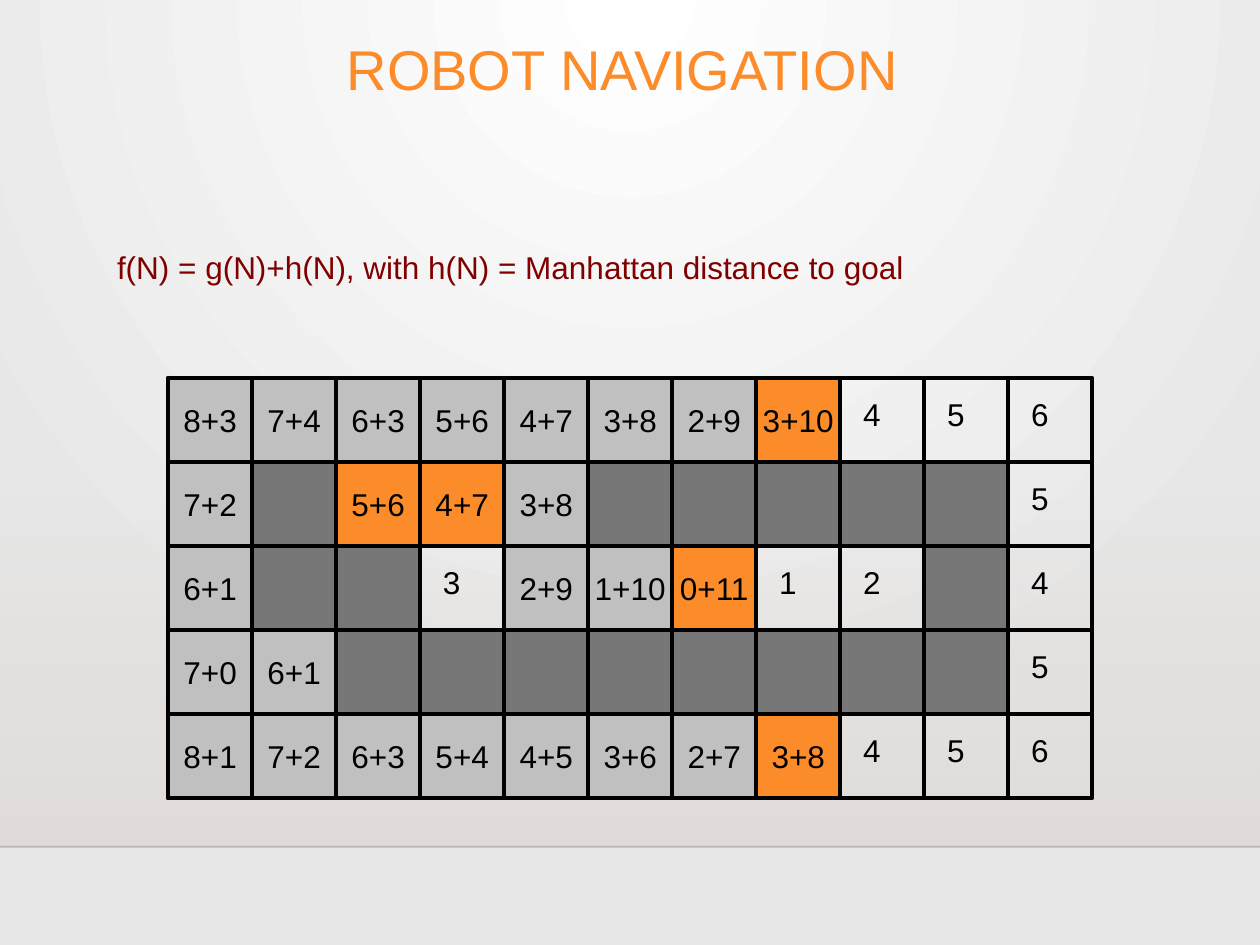
from dataclasses import dataclass

from lxml.etree import SubElement
from pptx import Presentation
from pptx.dml.color import RGBColor
from pptx.enum.shapes import MSO_CONNECTOR, MSO_SHAPE
from pptx.enum.text import MSO_ANCHOR, MSO_AUTO_SIZE, PP_ALIGN
from pptx.oxml.ns import qn
from pptx.util import Cm, Pt


@dataclass(frozen=True)
class Theme:
    font: str = "Arial"
    head: int = 32
    body: int = 18
    edge: float = 2.25
    ink: str = "000000"
    rule: str = "000001"
    note: str = "800000"
    hot: str = "FB8C29"
    seen: str = "C0C0C0"
    wall: str = "777777"
    light: str = "FFFFFF"
    dim: str = "E7E7E7"
    floor: str = "DFD9D5"


class Deck:
    def __init__(self, theme):
        self.theme = theme
        self.file = Presentation()
        self.file.slide_width = Cm(25.4)
        self.file.slide_height = Cm(19.05)
        self.slide = self.file.slides.add_slide(self.file.slide_layouts[5])

    def style(self, frame, text, size, color, align=PP_ALIGN.LEFT):
        frame.text = text
        para = frame.paragraphs[0]
        para.alignment = align
        for run in para.runs:
            run.font.name = self.theme.font
            run.font.size = Pt(size)
            run.font.color.rgb = RGBColor.from_string(color)
        return para

    def fade(self, fill, colors):
        fill.gradient()
        for stop, color in zip(fill.gradient_stops, colors):
            stop.color.rgb = RGBColor.from_string(color)

    def clear(self, color, alpha):
        SubElement(color, qn("a:alpha")).set("val", str(alpha * 1000))

    def back(self):
        self.fade(self.slide.background.fill, (self.theme.light, self.theme.dim))
        grad = next(self.slide.element.iter(qn("a:gradFill")))
        grad.remove(grad.find(qn("a:lin")))
        glow = SubElement(grad, qn("a:path"))
        glow.set("path", "circle")
        rect = SubElement(glow, qn("a:fillToRect"))
        for side, part in zip("ltrb", (43, 0, 43, 100)):
            rect.set(side, str(part * 1000))

    def title(self, text, left, top, width, height):
        box = self.slide.shapes.title
        box.left, box.top, box.width, box.height = map(Cm, (left, top, width, height))
        box.text_frame.vertical_anchor = MSO_ANCHOR.MIDDLE
        para = self.style(box.text_frame, text, self.theme.head, self.theme.hot, PP_ALIGN.CENTER)
        para.line_spacing = 0.9

    def label(self, text, left, top, width, height, color):
        box = self.slide.shapes.add_textbox(*map(Cm, (left, top, width, height)))
        frame = box.text_frame
        frame.word_wrap = False
        frame.auto_size = MSO_AUTO_SIZE.SHAPE_TO_FIT_TEXT
        self.style(frame, text, self.theme.body, color)

    def block(self, left, top, width, height):
        box = self.slide.shapes.add_shape(MSO_SHAPE.RECTANGLE, *map(Cm, (left, top, width, height)))
        box.shadow.inherit = False
        return box

    def floor(self, top, height):
        box = self.block(0, top, 25.4, height)
        box.line.fill.background()
        self.fade(box.fill, (self.theme.floor,) * 2)
        box.fill.gradient_angle = 270
        stops = box.element.spPr.iter(qn("a:srgbClr"))
        for color, alpha in zip(list(stops), (0, 80)):
            self.clear(color, alpha)

    def line(self, left, top, right, low, color, width, alpha=100):
        ends = map(Cm, (left, top, right, low))
        link = self.slide.shapes.add_connector(MSO_CONNECTOR.STRAIGHT, *ends)
        link.line.color.rgb = RGBColor.from_string(color)
        link.line.width = Pt(width)
        props = link.element.spPr
        if alpha < 100:
            self.clear(next(props.iter(qn("a:srgbClr"))), alpha)
        SubElement(props, qn("a:effectLst"))

    def cell(self, left, top, width, height, fill=None, text=""):
        box = self.block(left, top, width, height)
        box.line.color.rgb = RGBColor.from_string(self.theme.ink)
        box.line.width = Pt(self.theme.edge)
        if fill:
            box.fill.solid()
            box.fill.fore_color.rgb = RGBColor.from_string(fill)
        else:
            box.fill.background()
        if text:
            frame = box.text_frame
            frame.word_wrap = False
            frame.vertical_anchor = MSO_ANCHOR.MIDDLE
            self.style(frame, text, self.theme.body, self.theme.ink, PP_ALIGN.CENTER)

    def maze(self, rows, hot, left, top, width, height):
        theme = self.theme
        wide, high = width / len(rows[0]), height / len(rows)
        self.cell(left, top, width, height)
        for col in range(1, len(rows[0])):
            x = left + col * wide
            self.line(x, top, x, top + height, theme.ink, theme.edge)
        for row in range(1, len(rows)):
            y = top + row * high
            self.line(left, y, left + width, y, theme.ink, theme.edge)
        for row, items in enumerate(rows):
            for col, text in enumerate(items):
                x, y = left + col * wide, top + row * high
                if text == "#":
                    self.cell(x, y, wide, high, theme.wall)
                elif "+" in text:
                    fill = theme.hot if (row, col) in hot else theme.seen
                    self.cell(x, y, wide, high, fill, text)
                else:
                    self.label(text, x + 0.21, y + 0.21, 0.97, 1.27, theme.ink)


def main():
    theme = Theme()
    deck = Deck(theme)
    deck.back()
    deck.floor(10.06, 6.99)
    deck.line(0, 17.07, 25.4, 17.07, theme.rule, 1, 20)
    deck.title("ROBOT NAVIGATION", 3.86, 0, 17.37, 2.92)
    note = "f(N) = g(N)+h(N), with h(N) = Manhattan distance to goal"
    deck.label(note, 2.11, 4.88, 22.48, 1.27, theme.note)
    rows = [line.split() for line in (
        "8+3 7+4 6+3 5+6 4+7 3+8 2+9 3+10 4 5 6",
        "7+2 # 5+6 4+7 3+8 # # # # # 5",
        "6+1 # # 3 2+9 1+10 0+11 1 2 # 4",
        "7+0 6+1 # # # # # # # # 5",
        "8+1 7+2 6+3 5+4 4+5 3+6 2+7 3+8 4 5 6",
    )]
    hot = {(0, 7), (1, 2), (1, 3), (2, 6), (4, 7)}
    deck.maze(rows, hot, 3.39, 7.62, 18.63, 8.47)
    deck.file.save("out.pptx")


if __name__ == "__main__":
    main()
